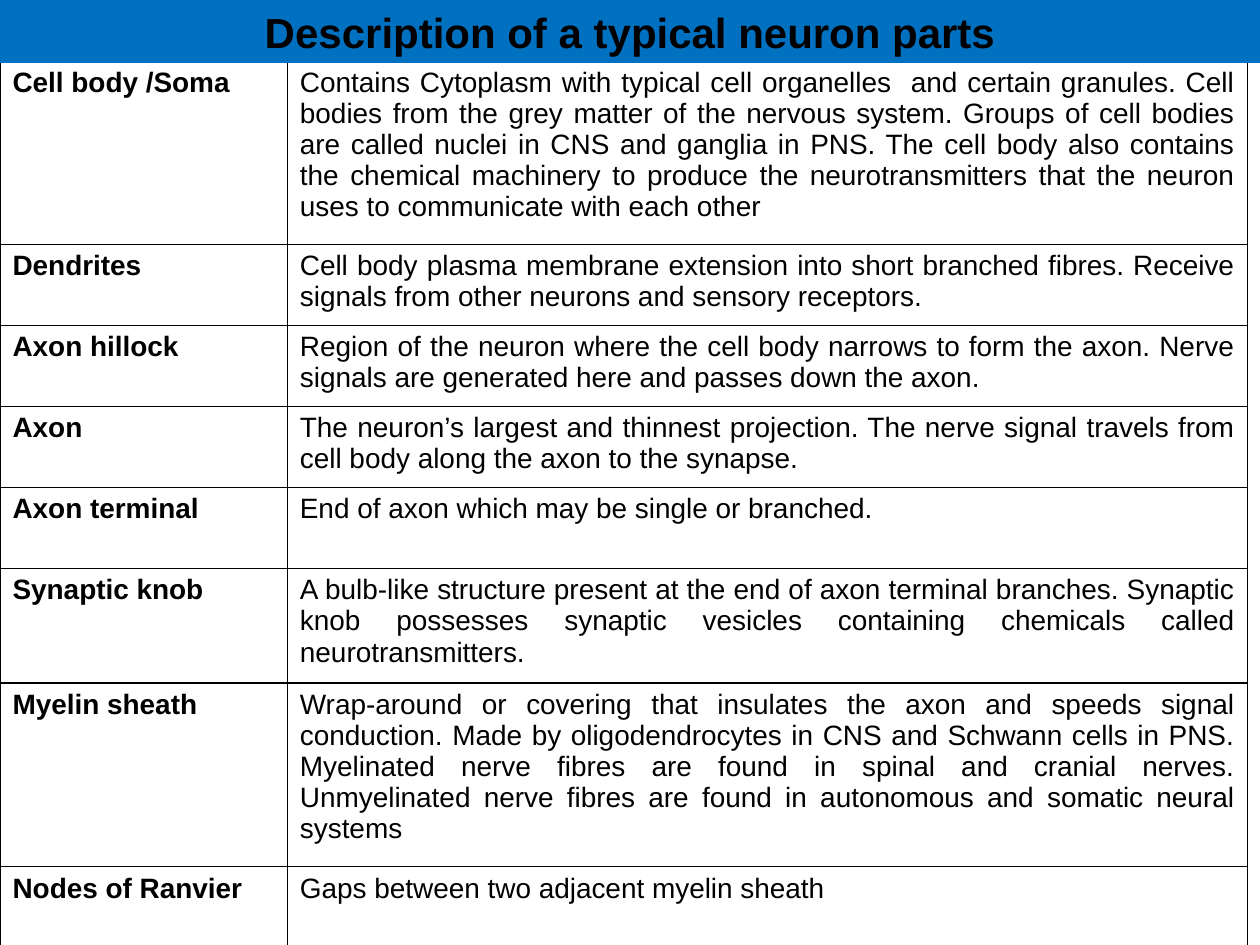
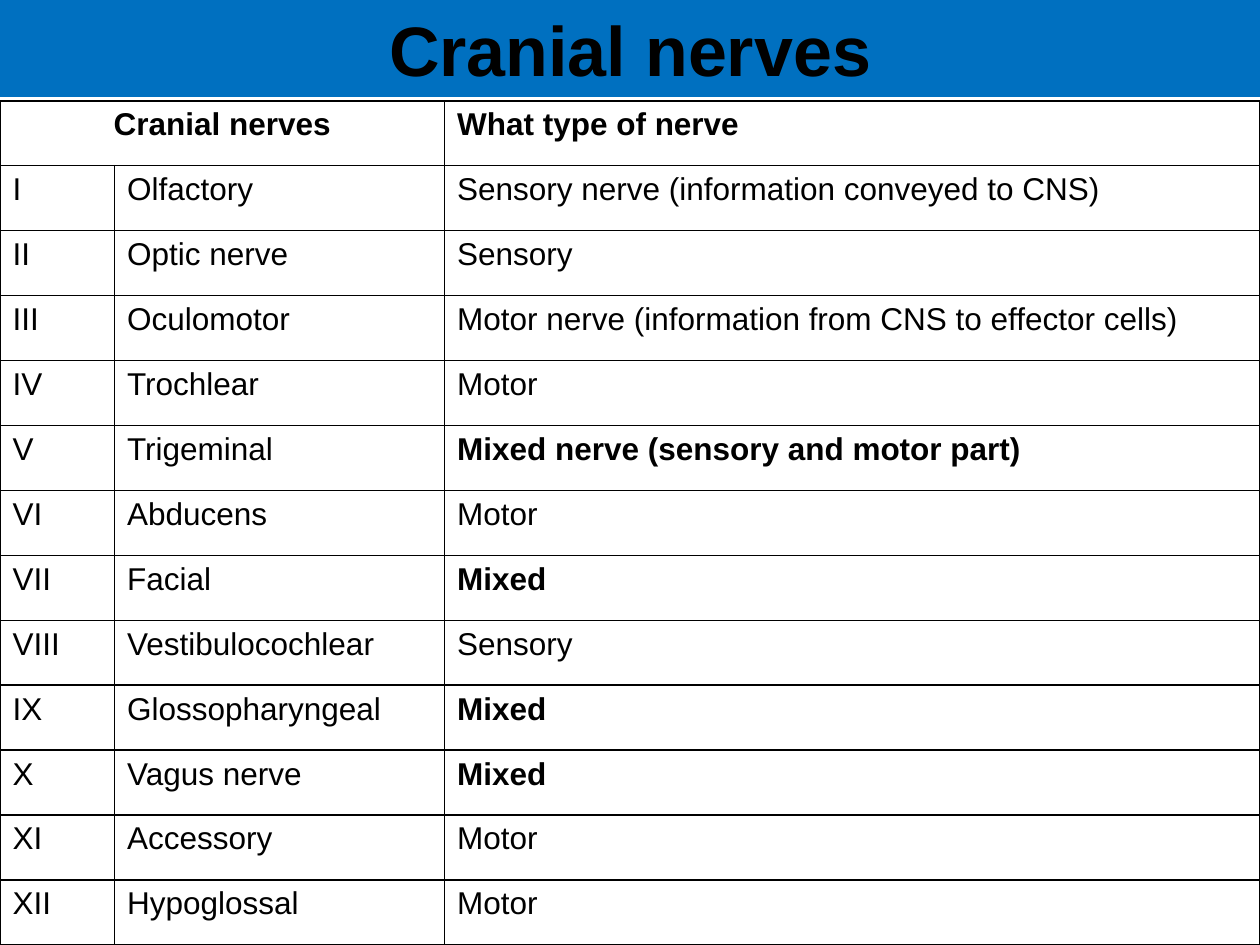
from lxml.etree import SubElement
from pptx import Presentation
from pptx.dml.color import RGBColor
from pptx.enum.text import MSO_ANCHOR, MSO_AUTO_SIZE, PP_ALIGN
from pptx.oxml.ns import qn
from pptx.util import Pt

BLUE = RGBColor(0x00, 0x70, 0xC0)
BLACK = RGBColor(0x00, 0x00, 0x00)
FONT = "Arial"
WIDTH, HEIGHT = 720, 540

PARTS = [
    ("Cell body /Soma",
     "Contains Cytoplasm with typical cell organelles  and certain granules. "
     "Cell bodies from the grey matter of the nervous system. Groups of cell "
     "bodies are called nuclei in CNS and ganglia in PNS. The cell body also "
     "contains the chemical machinery to produce the neurotransmitters that "
     "the neuron uses to communicate with each other"),
    ("Dendrites",
     "Cell body plasma membrane extension into short branched fibres. "
     "Receive signals from other neurons and sensory receptors."),
    ("Axon hillock",
     "Region of the neuron where the cell body narrows to form the axon. "
     "Nerve signals are generated here and passes down the axon."),
    ("Axon",
     "The neuron’s largest and thinnest projection. The nerve signal travels "
     "from cell body along the axon to the synapse."),
    ("Axon terminal", "End of axon which may be single or branched."),
    ("Synaptic knob",
     "A bulb-like structure present at the end of axon terminal branches. "
     "Synaptic knob possesses synaptic vesicles containing chemicals called "
     "neurotransmitters."),
    ("Myelin sheath",
     "Wrap-around or covering that insulates the axon and speeds signal "
     "conduction. Made by oligodendrocytes in CNS and Schwann cells in PNS. "
     "Myelinated nerve fibres are found in spinal and cranial nerves. "
     "Unmyelinated nerve fibres are found in autonomous and somatic neural "
     "systems"),
    ("Nodes of Ranvier", "Gaps between two adjacent myelin sheath"),
]
SHORT, MEDIUM, TALL = 46.3, 65.5, 105
PART_ROWS = [TALL, SHORT, SHORT, SHORT, SHORT, MEDIUM, TALL, SHORT]

NERVES = [
    ("Cranial nerves", "", "What type of nerve"),
    ("I", "Olfactory", "Sensory nerve (information conveyed to CNS)"),
    ("II", "Optic nerve", "Sensory"),
    ("III", "Oculomotor", "Motor nerve (information from CNS to effector cells)"),
    ("IV", "Trochlear", "Motor"),
    ("V", "Trigeminal", "Mixed nerve (sensory and motor part)"),
    ("VI", "Abducens", "Motor"),
    ("VII", "Facial", "Mixed"),
    ("VIII", "Vestibulocochlear", "Sensory"),
    ("IX", "Glossopharyngeal", "Mixed"),
    ("X", "Vagus nerve", "Mixed"),
    ("XI", "Accessory", "Motor"),
    ("XII", "Hypoglossal", "Motor"),
]
NERVE_TOP = 57.6
NERVE_ROWS = [(HEIGHT - NERVE_TOP) / len(NERVES)] * len(NERVES)

# title, band height, title size, table top, columns, rows, text size, align, texts
SLIDES = [
    ("Description of a typical neuron parts", 36, 24, 34.6,
     [164.2, 548.6], PART_ROWS, 16, PP_ALIGN.JUSTIFY, PARTS),
    ("Cranial nerves", 55.4, 40, NERVE_TOP,
     [65.5, 188.6, 465.9], NERVE_ROWS, 18, PP_ALIGN.LEFT, NERVES),
]


def style(par, size, bold, align):
    par.alignment = align
    font = par.font
    font.name, font.size, font.bold = FONT, Pt(size), bold
    font.color.rgb = BLACK


def frame(cell):
    """Give a cell thin black borders and no fill."""
    props = cell._tc.get_or_add_tcPr()
    for side in ("lnL", "lnR", "lnT", "lnB"):
        line = SubElement(props, qn(f"a:{side}"), w=str(Pt(1)))
        fill = SubElement(line, qn("a:solidFill"))
        SubElement(fill, qn("a:srgbClr"), val=str(BLACK))
    cell.fill.background()


deck = Presentation()
deck.slide_width, deck.slide_height = Pt(WIDTH), Pt(HEIGHT)

for name, band, big, top, cols, rows, size, align, texts in SLIDES:
    slide = deck.slides.add_slide(deck.slide_layouts[5])

    grid = slide.shapes.add_table(
        len(rows), len(cols), 0, Pt(top), Pt(sum(cols)), Pt(sum(rows))).table
    grid.first_row = grid.horz_banding = False
    for col, width in zip(grid.columns, cols):
        col.width = Pt(width)
    for row, height in zip(grid.rows, rows):
        row.height = Pt(height)

    for r, line in enumerate(texts):
        for c, text in enumerate(line):
            cell = grid.cell(r, c)
            frame(cell)
            cell.text = text
            if texts is PARTS:
                bold = c == 0
            else:
                bold = r == 0 or text.startswith("Mixed")
            style(cell.text_frame.paragraphs[0], size, bold, align)
    if texts is NERVES:
        head = grid.cell(0, 0)
        head.merge(grid.cell(0, 1))
        head.text_frame.paragraphs[0].alignment = PP_ALIGN.CENTER

    title = slide.shapes.title
    title.left, title.top, title.width, title.height = 0, 0, Pt(WIDTH), Pt(band)
    title.fill.solid()
    title.fill.fore_color.rgb = BLUE
    title.text = name
    box = title.text_frame
    box.auto_size = MSO_AUTO_SIZE.NONE
    box.vertical_anchor = MSO_ANCHOR.MIDDLE
    style(box.paragraphs[0], big, True, PP_ALIGN.CENTER)
    # The band lies over the top edge of the table
    slide.shapes._spTree.append(title._element)

deck.save("out.pptx")
